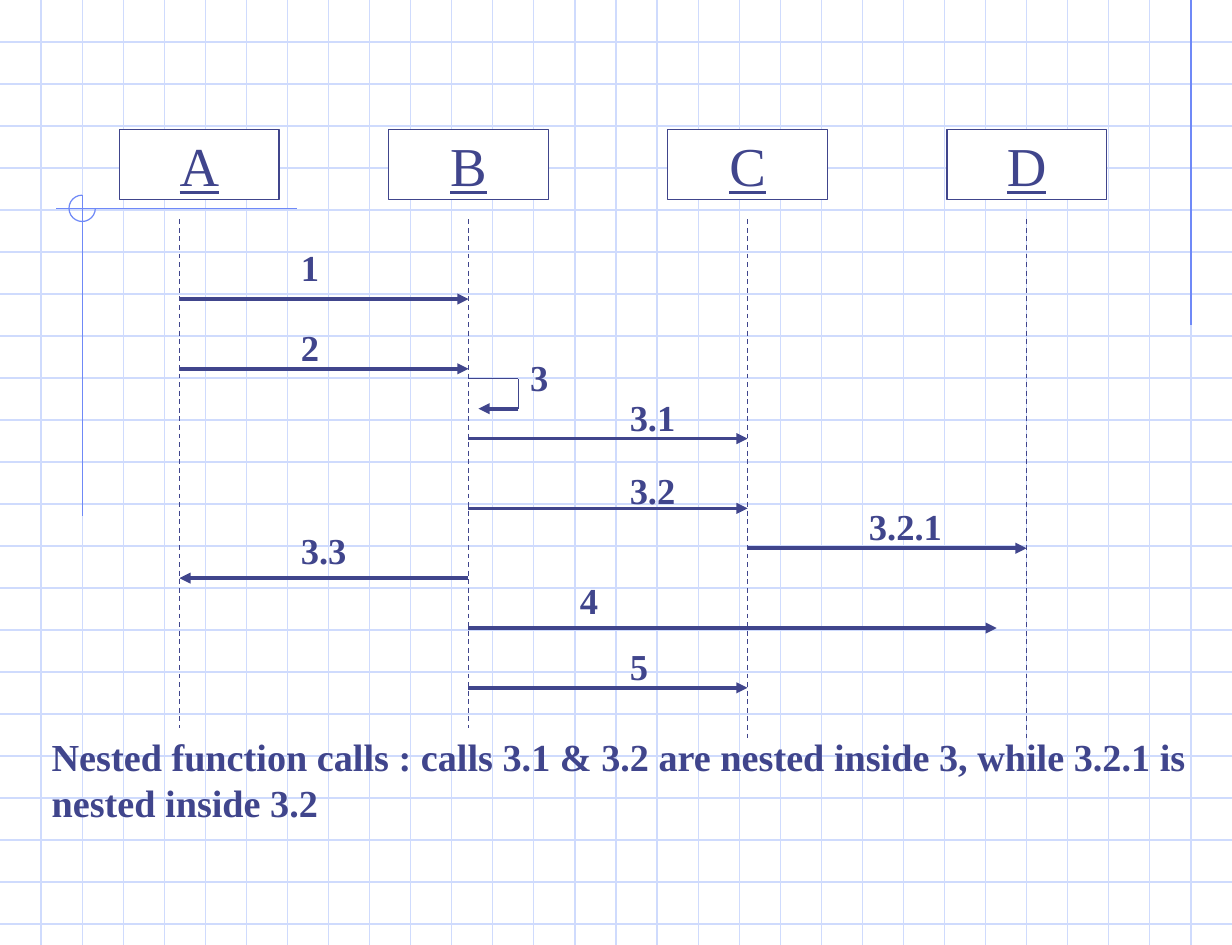
from pptx import Presentation
from pptx.dml.color import RGBColor
from pptx.enum.dml import MSO_LINE_DASH_STYLE as DASH
from pptx.enum.shapes import MSO_CONNECTOR, MSO_SHAPE
from pptx.enum.text import MSO_ANCHOR, PP_ALIGN
from pptx.oxml.ns import qn
from pptx.util import Inches, Pt
from lxml import etree

COLORS = {"ink": "40458C", "grid": "CFDBFD", "accent": "6F89F7", "box": "FFFFFF"}
FONT = "Times New Roman"
U = Inches(1) / 12  # the diagram sits on a grid of twelve units per inch

prs = Presentation()
prs.slide_width, prs.slide_height = Inches(10.3), Inches(7.9)
W, H = prs.slide_width / U, prs.slide_height / U
s = prs.slides.add_slide(prs.slide_layouts[6])


def add_line(x1, y1, x2, y2, color="ink", width=0.75, dash=None, arrow=False):
    """Draw a straight line between two points given in grid units."""
    ends = [round(v * U) for v in (x1, y1, x2, y2)]
    line = s.shapes.add_connector(MSO_CONNECTOR.STRAIGHT, *ends)
    line.line.color.rgb = RGBColor.from_string(COLORS[color])
    line.line.width = Pt(width)
    if dash:
        line.line.dash_style = dash
    if arrow:
        etree.SubElement(line.line._get_or_add_ln(), qn("a:tailEnd"), type="triangle")
    etree.SubElement(line._element.spPr, qn("a:effectLst"))


def add_text(text, x, y, w, h, size=22, bold=True, underline=False, boxed=False):
    """Write text at a place in grid units, in a centred outlined box if boxed."""
    at = [round(v * U) for v in (x, y, w, h)]
    if boxed:
        sp = s.shapes.add_shape(MSO_SHAPE.RECTANGLE, *at)
        sp.shadow.inherit = False
        sp.fill.solid()
        sp.fill.fore_color.rgb = RGBColor.from_string(COLORS["box"])
        sp.line.color.rgb = RGBColor.from_string(COLORS["ink"])
        sp.line.width = Pt(0.75)
    else:
        sp = s.shapes.add_textbox(*at)
    tf = sp.text_frame
    tf.word_wrap = not boxed
    tf.vertical_anchor = MSO_ANCHOR.MIDDLE if boxed else MSO_ANCHOR.TOP
    p = tf.paragraphs[0]
    p.alignment = PP_ALIGN.CENTER if boxed else PP_ALIGN.LEFT
    r = p.add_run()
    r.text = text
    r.font.name, r.font.size = FONT, Pt(size)
    r.font.bold, r.font.underline = bold, underline
    r.font.color.rgb = RGBColor.from_string(COLORS["ink"])


# Squared paper
COLUMNS, ROWS = 30, 22.5
for row in range(1, 23):
    add_line(0, row * H / ROWS, W, row * H / ROWS, color="grid")
for col in range(1, COLUMNS):
    add_line(col * W / COLUMNS, 0, col * W / COLUMNS, H, color="grid")

# Accent lines and the ring where two of them cross
cross_x, cross_y, radius = 2 * W / COLUMNS, 20.9, 1.32
right_x = 29 * W / COLUMNS
add_line(right_x, 0, right_x, 32.64, color="accent")
add_line(29.76, cross_y, 5.64, cross_y, color="accent")
add_line(cross_x, cross_y - radius, cross_x, 51.72, color="accent")
ring = s.shapes.add_shape(
    MSO_SHAPE.ARC, round((cross_x - radius) * U), round((cross_y - radius) * U),
    round(2 * radius * U), round(2 * radius * U))
ring.adjustments[0], ring.adjustments[1] = 0, 162  # from 0 to 270 degrees
ring.shadow.inherit = False
ring.fill.background()
ring.line.color.rgb = RGBColor.from_string(COLORS["accent"])
ring.line.width = Pt(0.75)

# Participants: name, left of box, lifeline, end of lifeline
participants = [("A", 12, 18, 73), ("B", 39, 47, 73), ("C", 67, 75, 74), ("D", 95, 103, 74)]
lifeline = {}
for name, left, x, bottom in participants:
    lifeline[name] = x
    add_text(name, left, 13, 16, 7, size=33, bold=False, underline=True, boxed=True)
    add_line(x, 22, x, bottom, dash=DASH.DASH)

add_text("Nested function calls : calls 3.1 & 3.2 are nested inside 3, "
         "while 3.2.1 is nested inside 3.2", 4, 73, 117, 10.4, size=23)

# Calls: number, start, end, arrow row, label column, label row, label width
A, B, C, D = (lifeline[name] for name in "ABCD")
calls = [
    ("1", A, B, 30, 29, 24, 4),
    ("2", A, B, 37, 29, 32, 4),
    ("3.1", B, C, 44, 62, 39, 8),
    ("3.2", B, C, 51, 62, 46.4, 8),
    ("3.3", B, A, 58, 29, 52.4, 8),
    ("4", B, D - 3, 63, 57, 57.4, 4),
    ("5", B, C, 69, 62, 64, 4),
    ("3.2.1", C, D, 55, 86, 50, 10),
]
for number, start, end, row, label_x, label_y, label_w in calls:
    add_line(start, row, end, row, width=2.25, arrow=True)
    add_text(number, label_x, label_y, label_w, 5.6)

# Call 3 returns to B itself
add_text("3", 52, 35, 4, 5.6)
add_line(B, 38, 52, 38)
add_line(52, 38, 52, 41)
add_line(52, 41, B + 1, 41, width=2.25, arrow=True)

prs.save("out.pptx")
